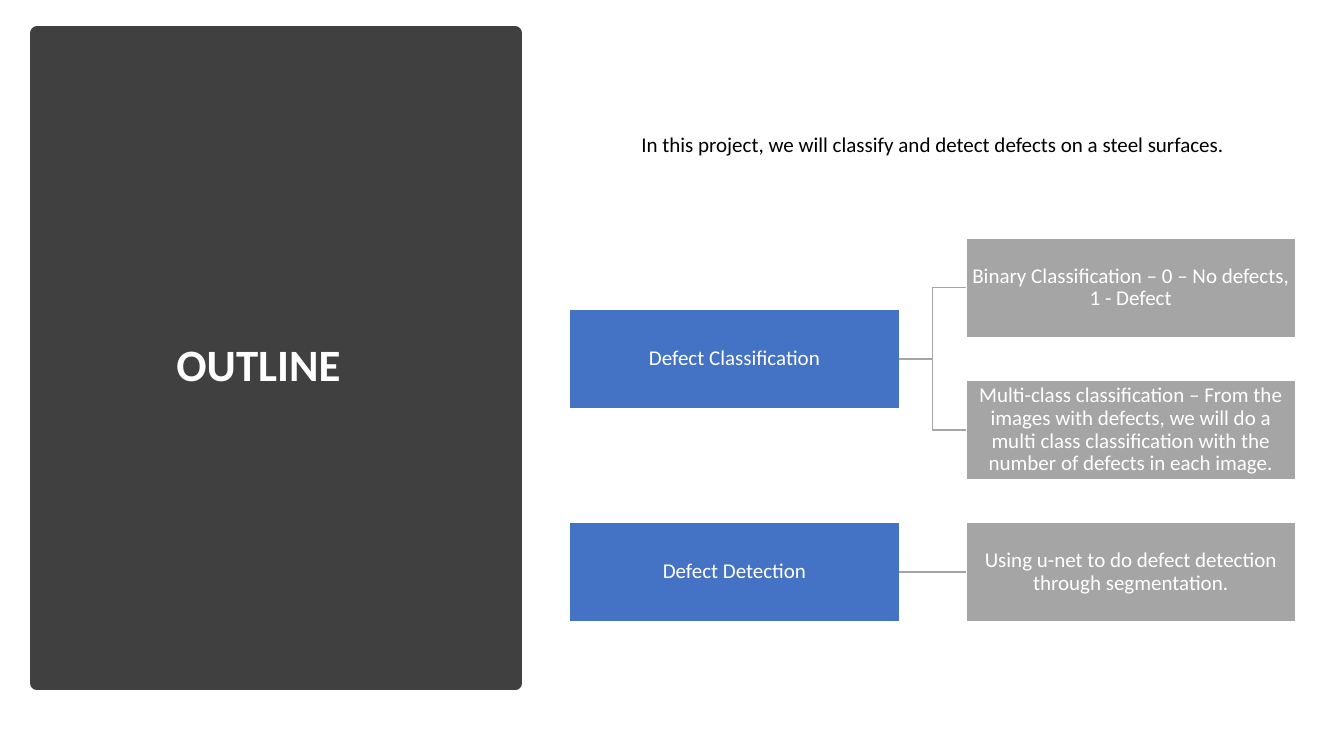
from pptx import Presentation
from pptx.dml.color import RGBColor
from pptx.enum.shapes import MSO_CONNECTOR, MSO_SHAPE
from pptx.enum.text import MSO_ANCHOR, PP_ALIGN
from pptx.oxml.ns import qn
from pptx.util import Inches, Pt
from lxml.etree import SubElement

TITLE = "OUTLINE"
INTRO = "In this project, we will classify and detect defects on a steel surfaces."
TREE = [
    ("Defect Classification", [
        "Binary Classification – 0 – No defects, 1 - Defect",
        "Multi-class classification – From the images with defects, we will do "
        "a multi class classification with the number of defects in each image.",
    ]),
    ("Defect Detection", ["Using u-net to do defect detection through segmentation."]),
]
DARK, BLUE, GRAY, WHITE, BLACK = "404040", "4472C4", "A5A5A5", "FFFFFF", "000000"
LEFT, TOP = 5.65, 0.95
WIDE, HIGH = 3.27, 0.99
STEP, PITCH = 3.93, 1.41


def color(code):
    return RGBColor.from_string(code)


def style(frame, size, ink, align, bold=False):
    frame.word_wrap = True
    frame.vertical_anchor = MSO_ANCHOR.MIDDLE
    para = frame.paragraphs[0]
    para.alignment = align
    para.line_spacing = 0.9
    font = para.runs[0].font
    font.name, font.size, font.bold = "Calibri", Pt(size), bold
    font.color.rgb = color(ink)


def rect(x, y, w, h, fill, edge):
    shape = slide.shapes.add_shape(
        MSO_SHAPE.RECTANGLE, Inches(x), Inches(y), Inches(w), Inches(h))
    shape.shadow.inherit = False
    if fill:
        shape.fill.solid()
        shape.fill.fore_color.rgb = color(fill)
    else:
        shape.fill.background()
    shape.line.color.rgb = color(edge)
    shape.line.width = Pt(1)
    return shape


def node(text, col, row, fill, width=WIDE, ink=WHITE):
    box = rect(LEFT + col * STEP, TOP + row * PITCH, width, HIGH, fill, WHITE)
    frame = box.text_frame
    frame.text = text
    frame.margin_left = frame.margin_right = Inches(0.01)
    frame.margin_top = frame.margin_bottom = Inches(0.01)
    style(frame, 15, ink, PP_ALIGN.CENTER)
    return box


def link(start, end):
    kind = MSO_CONNECTOR.STRAIGHT if start.top == end.top else MSO_CONNECTOR.ELBOW
    line = slide.shapes.add_connector(kind, 0, 0, 0, 0)
    line.begin_connect(start, 3)
    line.end_connect(end, 1)
    line.line.color.rgb = color(GRAY)
    line.line.width = Pt(1)
    SubElement(line._element.spPr, qn("a:effectLst"))


deck = Presentation()
deck.slide_width, deck.slide_height = Inches(13.33), Inches(7.5)
slide = deck.slides.add_slide(deck.slide_layouts[5])

panel = rect(0.37, 0.33, 4.74, 6.45, DARK, DARK)
panel.line.width = Pt(10)
title = slide.shapes.title
panel._element.addnext(title._element)
title.left, title.top = Inches(0.65), Inches(0.7)
title.width, title.height = Inches(4.16), Inches(5.75)
title.text_frame.text = TITLE
title.text_frame.margin_left = Inches(1.1)
title.text_frame.margin_top = Inches(0.19)
style(title.text_frame, 32, WHITE, PP_ALIGN.LEFT, True)

node(INTRO, 0, 0, None, STEP + WIDE, BLACK)
row = 1
for topic, parts in TREE:
    root = node(topic, 0, row + (len(parts) - 1) / 2, BLUE)
    for part in parts:
        link(root, node(part, 1, row, GRAY))
        row += 1

deck.save("out.pptx")
